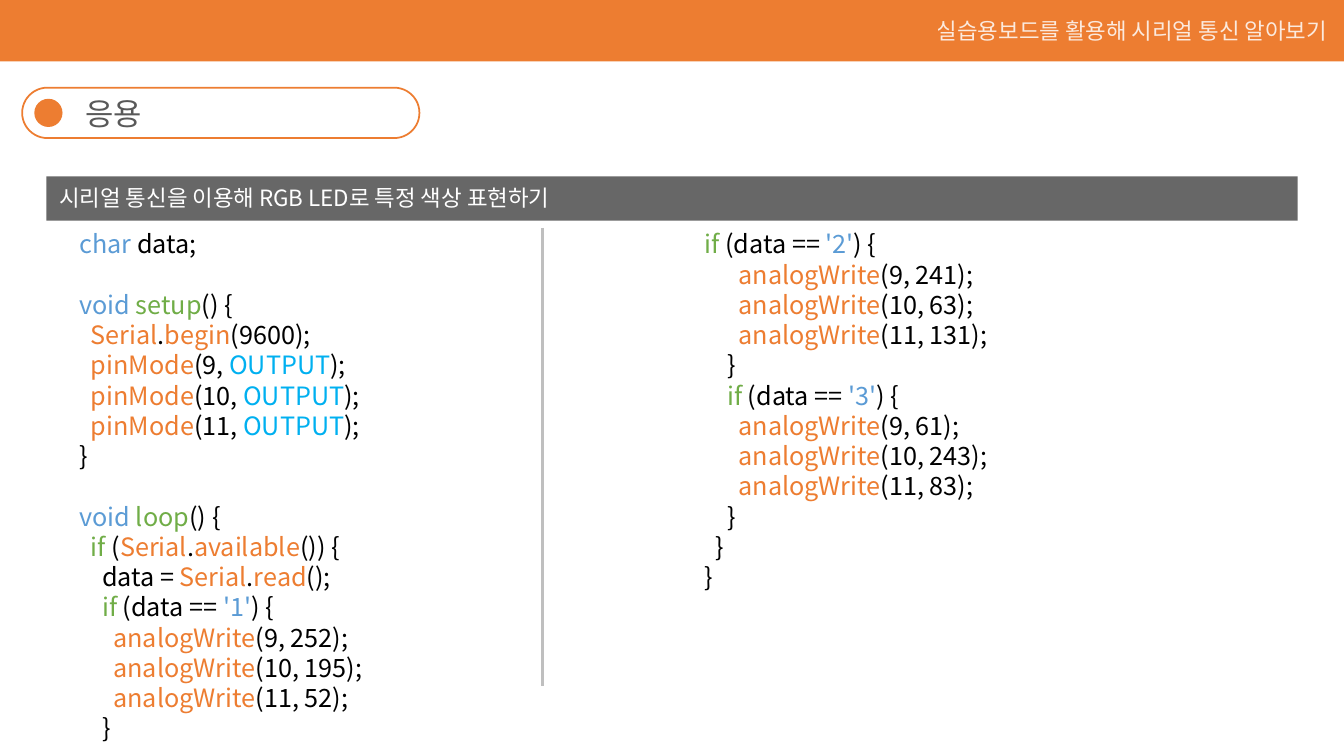
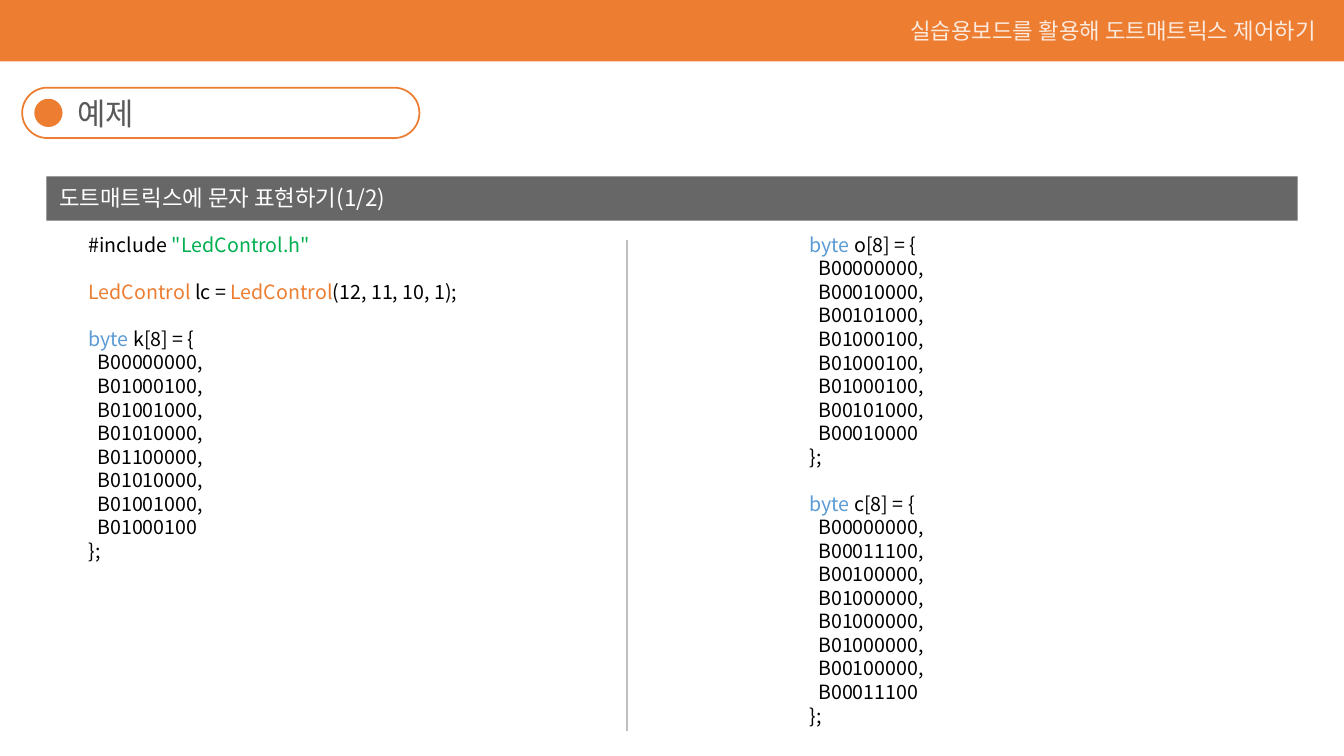
from dataclasses import dataclass
from itertools import groupby

from lxml.etree import SubElement
from pptx import Presentation
from pptx.dml.color import RGBColor
from pptx.enum.shapes import MSO_CONNECTOR as Connector, MSO_SHAPE as Shape
from pptx.enum.text import MSO_ANCHOR as Anchor, PP_ALIGN as Align
from pptx.oxml.ns import qn
from pptx.util import Inches, Pt

# Shared look
FONT = "Noto Sans CJK KR"
LINE_HEIGHT = 1.2
ORANGE, WHITE, BLACK = "ED7D31", "FFFFFF", "000000"
GREY, RULE = "595959", "BFBFBF"
BLUE, GREEN, CYAN, STRING = "5B9BD5", "70AD47", "00B0F0", "00B050"

# Code colours
WORDS = {
    BLUE: "char void byte '1' '2' '3'",
    GREEN: "setup loop if",
    ORANGE: "Serial begin available read pinMode analogWrite LedControl",
    CYAN: "OUTPUT",
}
WORD_COLOUR = {word: colour for colour, words in WORDS.items() for word in words.split()}


@dataclass
class Area:
    left: float
    top: float
    width: float
    height: float

    def lengths(self) -> list:
        return [Inches(n) for n in (self.left, self.top, self.width, self.height)]


@dataclass
class CodeBox:
    area: Area
    code: str


@dataclass
class CodePage:
    header: str
    header_right: float
    title: str
    title_left: float
    banner: str
    code_size: int
    columns: list[CodeBox]
    divider: tuple[float, float, float]  # x, top, bottom


def paint(colour_format, colour: str, opacity: int = 100) -> None:
    colour_format.rgb = RGBColor.from_string(colour)
    if opacity < 100:
        for value in colour_format._xFill.iter(qn("a:srgbClr")):
            SubElement(value, qn("a:alpha")).set("val", str(opacity * 1000))


def add_block(page, kind, area: Area, fill: str, line: str = "", opacity: int = 100):
    block = page.shapes.add_shape(kind, *area.lengths())
    block.shadow.inherit = False
    block.fill.solid()
    paint(block.fill.fore_color, fill, opacity)
    if line:
        paint(block.line.color, line)
        block.line.width = Pt(1.25)
    else:
        block.line.fill.background()
    return block


def add_frame(page, area: Area, anchor=Anchor.TOP):
    frame = page.shapes.add_textbox(*area.lengths()).text_frame
    frame.word_wrap = True
    frame.vertical_anchor = anchor
    return frame


def add_span(para, text: str, size: int, colour: str, opacity: int = 100) -> None:
    span = para.add_run()
    span.text = text
    span.font.name = FONT
    span.font.size = Pt(size)
    paint(span.font.color, colour, opacity)
    properties = span.font._element
    SubElement(properties, qn("a:ea")).set("typeface", FONT)


def add_label(page, area: Area, text: str, size: int, colour: str,
              align=Align.LEFT, opacity: int = 100) -> None:
    para = add_frame(page, area, Anchor.MIDDLE).paragraphs[0]
    para.alignment = align
    para.line_spacing = Pt(size * LINE_HEIGHT)
    add_span(para, text, size, colour, opacity)


def colour_tokens(line: str) -> list[tuple[str, str]]:
    plain, quote, rest = line.partition('"')
    groups = groupby(plain, key=lambda char: char.isalnum() or char == "'")
    words = ["".join(chars) for _, chars in groups]
    tokens = [(word, WORD_COLOUR.get(word, BLACK)) for word in words]
    if quote:
        tokens.append((quote + rest, STRING))
    return tokens


def add_code(page, box: CodeBox, size: int) -> None:
    frame = add_frame(page, box.area)
    para, gap = frame.paragraphs[0], 0
    for number, line in enumerate(box.code.strip("\n").split("\n")):
        if not line:
            gap += 1
            continue
        if number:
            para = frame.add_paragraph()
        para.line_spacing = Pt(size * LINE_HEIGHT)
        para.space_before = Pt(gap * size * LINE_HEIGHT)
        gap = 0
        for colour, tokens in groupby(colour_tokens(line), key=lambda token: token[1]):
            add_span(para, "".join(text for text, _ in tokens), size, colour)


def add_divider(page, x: float, top: float, bottom: float) -> None:
    rule = page.shapes.add_connector(
        Connector.STRAIGHT, Inches(x), Inches(top), Inches(x), Inches(bottom))
    paint(rule.line.color, RULE)
    rule.line.width = Pt(1.75)
    SubElement(rule._element.spPr, qn("a:effectLst"))


def add_page(deck, content: CodePage) -> None:
    page = deck.slides.add_slide(deck.slide_layouts[6])
    # Header band
    add_block(page, Shape.RECTANGLE, Area(0, 0, 13.33, 0.61), ORANGE)
    header_area = Area(content.header_right - 4.6, 0.12, 4.6, 0.37)
    add_label(page, header_area, content.header, 16, WHITE, Align.RIGHT, 83)
    # Title pill
    pill = add_block(page, Shape.ROUNDED_RECTANGLE, Area(0.22, 0.87, 3.94, 0.5), WHITE, ORANGE)
    pill.adjustments[0] = 0.5
    add_block(page, Shape.OVAL, Area(0.34, 0.98, 0.28, 0.28), ORANGE)
    add_label(page, Area(content.title_left, 0.89, 3.26, 0.47), content.title, 22, GREY)
    # Banner
    add_block(page, Shape.RECTANGLE, Area(0.46, 1.75, 12.41, 0.44), GREY, opacity=91)
    add_label(page, Area(0.49, 1.78, 6.32, 0.37), content.banner, 16, WHITE)
    # Code columns
    for box in content.columns:
        add_code(page, box, content.code_size)
    add_divider(page, *content.divider)


SERIAL_START = """
char data;

void setup() {
  Serial.begin(9600);
  pinMode(9, OUTPUT);
  pinMode(10, OUTPUT);
  pinMode(11, OUTPUT);
}

void loop() {
  if (Serial.available()) {
    data = Serial.read();
    if (data == '1') {
      analogWrite(9, 252);
      analogWrite(10, 195);
      analogWrite(11, 52);
    }
"""

SERIAL_END = """
if (data == '2') {
      analogWrite(9, 241);
      analogWrite(10, 63);
      analogWrite(11, 131);
    }
    if (data == '3') {
      analogWrite(9, 61);
      analogWrite(10, 243);
      analogWrite(11, 83);
    }
  }
}
"""

MATRIX_START = """
#include "LedControl.h"

LedControl lc = LedControl(12, 11, 10, 1);

byte k[8] = {
  B00000000,
  B01000100,
  B01001000,
  B01010000,
  B01100000,
  B01010000,
  B01001000,
  B01000100
};
"""

MATRIX_END = """
byte o[8] = {
  B00000000,
  B00010000,
  B00101000,
  B01000100,
  B01000100,
  B01000100,
  B00101000,
  B00010000
};

byte c[8] = {
  B00000000,
  B00011100,
  B00100000,
  B01000000,
  B01000000,
  B01000000,
  B00100000,
  B00011100
};
"""

PAGES = [
    CodePage(
        header="실습용보드를 활용해 시리얼 통신 알아보기",
        header_right=13.26,
        title="응용",
        title_left=0.75,
        banner="시리얼 통신을 이용해 RGB LED로 특정 색상 표현하기",
        code_size=18,
        columns=[CodeBox(Area(0.69, 2.22, 4.08, 5.25), SERIAL_START),
                 CodeBox(Area(6.89, 2.22, 4.08, 3.74), SERIAL_END)],
        divider=(5.38, 2.26, 6.81),
    ),
    CodePage(
        header="실습용보드를 활용해 도트매트릭스 제어하기",
        header_right=13.15,
        title="예제",
        title_left=0.67,
        banner="도트매트릭스에 문자 표현하기(1/2)",
        code_size=14,
        columns=[CodeBox(Area(0.78, 2.26, 5.24, 3.4), MATRIX_START),
                 CodeBox(Area(7.93, 2.26, 4.4, 5.05), MATRIX_END)],
        divider=(6.22, 2.38, 7.25),
    ),
]


def main() -> None:
    deck = Presentation()
    deck.slide_width, deck.slide_height = Inches(13.33), Inches(7.5)
    for content in PAGES:
        add_page(deck, content)
    deck.save("out.pptx")


if __name__ == "__main__":
    main()
